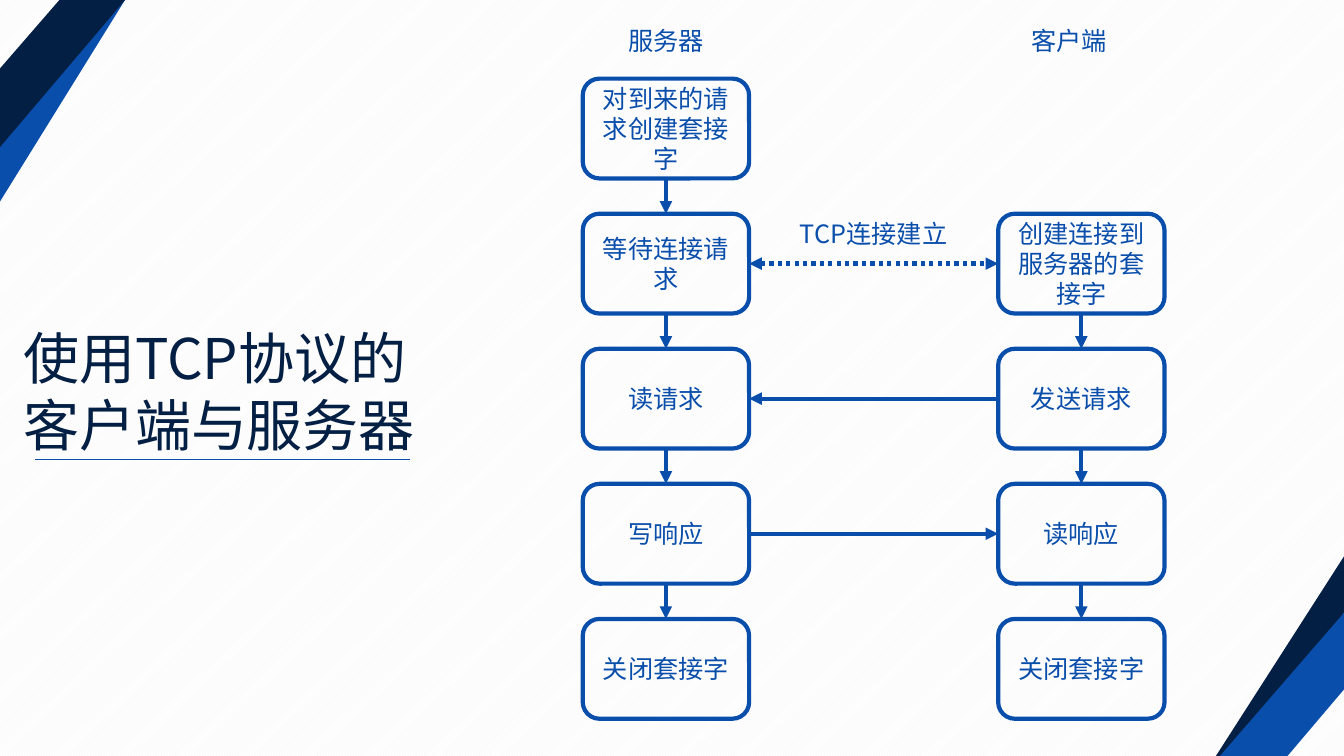
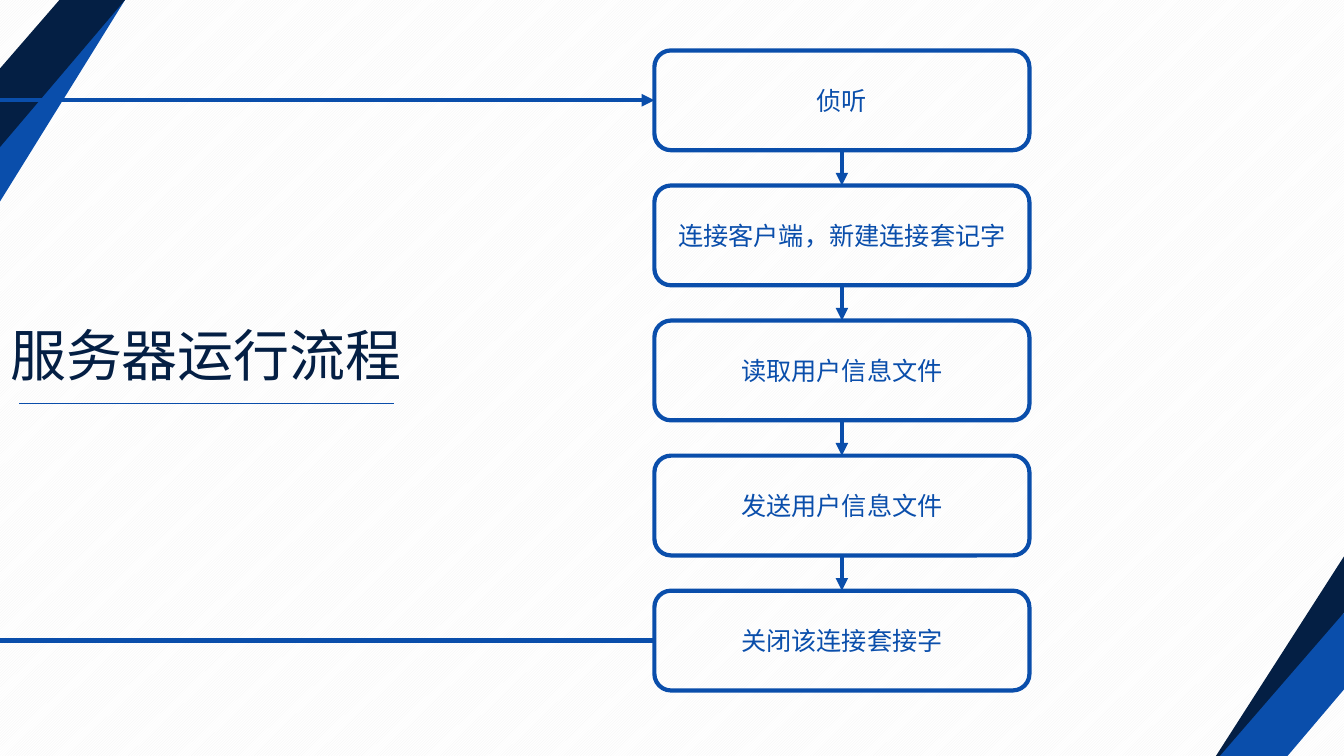
from dataclasses import dataclass
from itertools import pairwise

from lxml.etree import SubElement
from pptx import Presentation
from pptx.dml.color import RGBColor
from pptx.enum.dml import MSO_LINE, MSO_PATTERN
from pptx.enum.shapes import MSO_CONNECTOR, MSO_SHAPE
from pptx.enum.text import MSO_ANCHOR, MSO_AUTO_SIZE, PP_ALIGN
from pptx.oxml.ns import qn
from pptx.shapes.autoshape import Shape
from pptx.shapes.connector import Connector
from pptx.slide import Slide, SlideLayout
from pptx.util import Inches, Length, Pt

NAVY = RGBColor(0x04, 0x1F, 0x44)
BLUE = RGBColor(0x0A, 0x4E, 0xAB)
WHITE = RGBColor(0xFF, 0xFF, 0xFF)
PALE_GRAY = RGBColor(0xF2, 0xF2, 0xF2)
FONT = "Noto Sans CJK SC"
SLIDE_WIDTH, SLIDE_HEIGHT = Inches(13.33), Inches(7.5)
TOP, LEFT, BOTTOM, RIGHT = range(4)


@dataclass(frozen=True)
class Band:
    color: RGBColor
    points: tuple[tuple[float, float], ...]


@dataclass(frozen=True)
class Heading:
    text: str
    left: float
    top: float
    height: float
    rule_left: float
    rule_top: float


@dataclass(frozen=True)
class Grid:
    left: float
    top: float
    box_width: float
    box_height: float = 0.99
    column_step: float = 4.12
    row_step: float = 1.34

    def column(self, index: int) -> Length:
        return Inches(self.left + index * self.column_step)

    def row(self, index: int) -> Length:
        return Inches(self.top + index * self.row_step)


@dataclass(frozen=True)
class Step:
    text: str
    column: int
    row: int


@dataclass(frozen=True)
class Label:
    text: str
    left: float
    top: float


BANDS = (
    Band(BLUE, ((0.89, 0), (1.24, 0), (0, 2), (0, 1.44))),
    Band(NAVY, ((0.59, 0), (1.24, 0), (0, 1.46), (0, 0.68))),
    Band(NAVY, ((12.42, 7.5), (12.06, 7.5), (13.33, 5.52), (13.33, 6.08))),
    Band(BLUE, ((12.1, 7.5), (13.33, 6.08), (13.33, 6.84), (12.77, 7.5))),
)

EXCHANGE_HEADING = Heading("使用TCP协议的客户端与服务器", 0.13, 3.16, 1.45, 0.35, 4.56)
EXCHANGE_GRID = Grid(left=5.78, top=0.78, box_width=1.65)
SERVER_STEPS = [
    Step(text, 0, row)
    for row, text in enumerate(
        ("对到来的请求创建套接字", "等待连接请求", "读请求", "写响应", "关闭套接字")
    )
]
CLIENT_STEPS = [
    Step(text, 1, row)
    for row, text in enumerate(
        ("创建连接到服务器的套接字", "发送请求", "读响应", "关闭套接字"), start=1
    )
]
EXCHANGE_LABELS = (
    Label("服务器", 5.67, 0.2),
    Label("客户端", 9.67, 0.2),
    Label("TCP连接建立", 7.73, 2.12),
)

SERVER_HEADING = Heading("服务器运行流程", 0, 3.13, 0.77, 0.19, 4)
SERVER_GRID = Grid(left=6.49, top=0.5, box_width=3.72)
SERVER_LOOP = [
    Step(text, 0, row)
    for row, text in enumerate(
        (
            "侦听",
            "连接客户端，新建连接套记字",
            "读取用户信息文件",
            "发送用户信息文件",
            "关闭该连接套接字",
        )
    )
]


def write_text(
    shape: Shape, text: str, size: int, color: RGBColor, alignment: PP_ALIGN
) -> None:
    frame = shape.text_frame
    frame.text = text
    frame.word_wrap = True
    paragraph = frame.paragraphs[0]
    paragraph.alignment = alignment
    paragraph.font.name = FONT
    paragraph.font.size = Pt(size)
    paragraph.font.color.rgb = color
    for latin in list(shape.element.iter(qn("a:latin"))):
        east_asian = SubElement(latin.getparent(), qn("a:ea"), typeface=FONT)
        latin.addnext(east_asian)


def add_line(
    slide: Slide,
    start: tuple[int, int],
    end: tuple[int, int],
    width: float = 3,
    arrows: tuple[str, ...] = (),
    dash: MSO_LINE | None = None,
) -> Connector:
    connector = slide.shapes.add_connector(MSO_CONNECTOR.STRAIGHT, *start, *end)
    connector.line.color.rgb = BLUE
    connector.line.width = Pt(width)
    if dash is not None:
        connector.line.dash_style = dash
    properties = connector.element.find(qn("p:spPr"))
    for arrow in arrows:
        SubElement(properties.find(qn("a:ln")), qn(f"a:{arrow}"), type="triangle")
    SubElement(properties, qn("a:effectLst"))
    return connector


def link(
    slide: Slide,
    source: Shape,
    source_site: int,
    target: Shape,
    target_site: int,
    arrows: tuple[str, ...] = ("tailEnd",),
    dash: MSO_LINE | None = None,
) -> None:
    connector = add_line(slide, (0, 0), (0, 0), arrows=arrows, dash=dash)
    connector.begin_connect(source, source_site)
    connector.end_connect(target, target_site)


def add_column(slide: Slide, grid: Grid, steps: list[Step]) -> list[Shape]:
    boxes = []
    for step in steps:
        box = slide.shapes.add_shape(
            MSO_SHAPE.ROUNDED_RECTANGLE,
            grid.column(step.column),
            grid.row(step.row),
            Inches(grid.box_width),
            Inches(grid.box_height),
        )
        box.shadow.inherit = False
        box.fill.background()
        box.line.color.rgb = BLUE
        box.line.width = Pt(3)
        box.text_frame.vertical_anchor = MSO_ANCHOR.MIDDLE
        write_text(box, step.text, 18, BLUE, PP_ALIGN.CENTER)
        boxes.append(box)
    for upper, lower in pairwise(boxes):
        link(slide, upper, BOTTOM, lower, TOP)
    return boxes


def add_label(slide: Slide, label: Label) -> None:
    box = slide.shapes.add_textbox(
        Inches(label.left), Inches(label.top), Inches(1.87), Inches(0.4)
    )
    write_text(box, label.text, 18, BLUE, PP_ALIGN.CENTER)


def add_titled_slide(
    presentation: Presentation, layout: SlideLayout, heading: Heading
) -> Slide:
    slide = presentation.slides.add_slide(layout)
    title = slide.shapes.title
    title.left, title.top = Inches(heading.left), Inches(heading.top)
    title.width, title.height = Inches(4.1), Inches(heading.height)
    title.text_frame.vertical_anchor = MSO_ANCHOR.TOP
    title.text_frame.auto_size = MSO_AUTO_SIZE.SHAPE_TO_FIT_TEXT
    write_text(title, heading.text, 40, NAVY, PP_ALIGN.LEFT)
    rule_top = Inches(heading.rule_top)
    rule_start = Inches(heading.rule_left)
    add_line(
        slide, (rule_start, rule_top), (rule_start + Inches(3.72), rule_top), width=0.5
    )
    return slide


def decorate_layout(layout: SlideLayout, slide: Slide) -> None:
    for placeholder in list(layout.placeholders):
        if placeholder.placeholder_format.idx != 0:
            layout.shapes.element.remove(placeholder.element)
    backdrop = slide.shapes.add_shape(
        MSO_SHAPE.RECTANGLE, 0, 0, SLIDE_WIDTH, SLIDE_HEIGHT
    )
    backdrop.fill.patterned()
    backdrop.fill.pattern = MSO_PATTERN.LIGHT_UPWARD_DIAGONAL
    backdrop.fill.fore_color.rgb = PALE_GRAY
    backdrop.fill.back_color.rgb = WHITE
    decorations = [backdrop]
    for band in BANDS:
        start, *others = [(Inches(x), Inches(y)) for x, y in band.points]
        builder = slide.shapes.build_freeform(*start)
        builder.add_line_segments(others, close=True)
        shape = builder.convert_to_shape()
        shape.fill.solid()
        shape.fill.fore_color.rgb = band.color
        decorations.append(shape)
    for shape in decorations:
        shape.shadow.inherit = False
        shape.line.fill.background()
        layout.shapes.element.append(shape.element)


def build_exchange(slide: Slide) -> None:
    server = add_column(slide, EXCHANGE_GRID, SERVER_STEPS)
    client = add_column(slide, EXCHANGE_GRID, CLIENT_STEPS)
    both_ends = ("headEnd", "tailEnd")
    link(slide, server[1], RIGHT, client[0], LEFT, both_ends, MSO_LINE.ROUND_DOT)
    link(slide, client[1], LEFT, server[2], RIGHT)
    link(slide, server[3], RIGHT, client[2], LEFT)
    for label in EXCHANGE_LABELS:
        add_label(slide, label)


def build_server_loop(slide: Slide) -> None:
    boxes = add_column(slide, SERVER_GRID, SERVER_LOOP)
    for box, arrows in ((boxes[0], ("tailEnd",)), (boxes[-1], ())):
        middle = box.top + box.height // 2
        connector = add_line(slide, (0, middle), (box.left, middle), arrows=arrows)
        connector.end_connect(box, LEFT)


def main() -> None:
    presentation = Presentation()
    presentation.slide_width = SLIDE_WIDTH
    presentation.slide_height = SLIDE_HEIGHT
    layout = presentation.slide_layouts.get_by_name("Title Only")
    exchange = add_titled_slide(presentation, layout, EXCHANGE_HEADING)
    decorate_layout(layout, exchange)
    build_exchange(exchange)
    build_server_loop(add_titled_slide(presentation, layout, SERVER_HEADING))
    presentation.save("out.pptx")


main()
